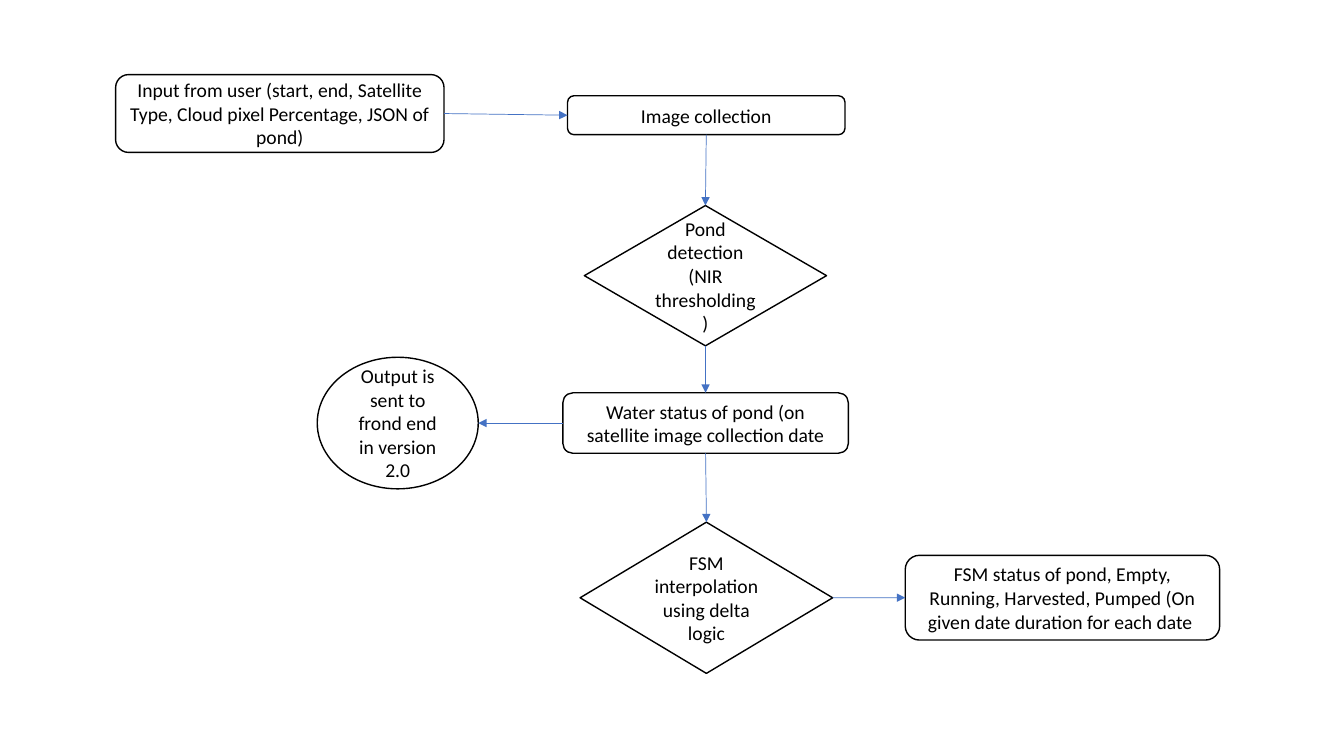
from dataclasses import dataclass

from lxml import etree
from pptx import Presentation
from pptx import util as u
from pptx.dml.color import RGBColor
from pptx.enum import shapes, text
from pptx.oxml import ns

KIND = shapes.MSO_SHAPE
TOP, LEFT, BASE, RIGHT = range(4)


@dataclass(frozen=True)
class Theme:
    ink: str = "000000"
    paper: str = "FFFFFF"
    arrow: str = "4472C4"
    font: str = "Calibri"
    size: float = 14
    edge: float = 1
    thin: float = 0.5


def write(frame, words, *, font, size, ink, align=text.PP_ALIGN.CENTER):
    frame.word_wrap = True
    frame.vertical_anchor = text.MSO_ANCHOR.MIDDLE
    para = frame.paragraphs[0]
    para.alignment = align
    run = para.add_run()
    run.text = words
    run.font.name = font
    run.font.size = u.Pt(size)
    run.font.color.rgb = RGBColor.from_string(ink)


class Chart:
    def __init__(self, slide, theme):
        self.slide = slide
        self.theme = theme

    def node(self, kind, words, left, top, width, height):
        look = self.theme
        box = self.slide.shapes.add_shape(
            kind, *(u.Pt(n) for n in (left, top, width, height)))
        box.shadow.inherit = False
        box.fill.solid()
        box.fill.fore_color.rgb = RGBColor.from_string(look.paper)
        box.line.color.rgb = RGBColor.from_string(look.ink)
        box.line.width = u.Pt(look.edge)
        write(box.text_frame, words, font=look.font, size=look.size, ink=look.ink)
        return box

    def point(self, box, side):
        mid_x = box.left + box.width // 2
        mid_y = box.top + box.height // 2
        return {
            TOP: (mid_x, box.top),
            LEFT: (box.left, mid_y),
            BASE: (mid_x, box.top + box.height),
            RIGHT: (box.left + box.width, mid_y),
        }[side]

    def arrow(self, start, out, end, into):
        link = self.slide.shapes.add_connector(
            shapes.MSO_CONNECTOR.STRAIGHT,
            *self.point(start, out), *self.point(end, into))
        link.begin_connect(start, out)
        if end.auto_shape_type != KIND.OVAL:
            link.end_connect(end, into)
        link.line.color.rgb = RGBColor.from_string(self.theme.arrow)
        link.line.width = u.Pt(self.theme.thin)
        tip = etree.SubElement(link.line._get_or_add_ln(), ns.qn("a:tailEnd"))
        tip.set("type", "triangle")
        etree.SubElement(link._element.spPr, ns.qn("a:effectLst"))


def main():
    deck = Presentation()
    deck.slide_width, deck.slide_height = u.Pt(960), u.Pt(540)
    flow = Chart(deck.slides.add_slide(deck.slide_layouts[6]), Theme())

    user = flow.node(
        KIND.ROUNDED_RECTANGLE,
        "Input from user (start, end, Satellite Type, Cloud pixel Percentage, JSON of pond)",
        82.6, 53.3, 234.6, 55.6)
    image = flow.node(
        KIND.ROUNDED_RECTANGLE, "Image collection", 405.4, 68.4, 198.2, 27.8)
    pond = flow.node(
        KIND.DIAMOND, "Pond detection (NIR thresholding)", 417.4, 146.8, 173, 100.2)
    water = flow.node(
        KIND.ROUNDED_RECTANGLE,
        "Water status of pond (on satellite image collection date",
        402, 280.6, 204, 43.2)
    output = flow.node(
        KIND.OVAL, "Output is sent to frond end in version 2.0",
        226.6, 255.2, 115, 94)
    delta = flow.node(
        KIND.DIAMOND, "FSM interpolation using delta logic", 414.4, 373, 180.4, 108)
    status = flow.node(
        KIND.ROUNDED_RECTANGLE,
        "FSM status of pond, Empty, Running, Harvested, Pumped (On given date duration for each date ",
        646.6, 396.7, 224.6, 60.5)

    for link in (
        (user, RIGHT, image, LEFT),
        (image, BASE, pond, TOP),
        (pond, BASE, water, TOP),
        (water, LEFT, output, RIGHT),
        (water, BASE, delta, TOP),
        (delta, RIGHT, status, LEFT),
    ):
        flow.arrow(*link)

    deck.save("out.pptx")


if __name__ == "__main__":
    main()
